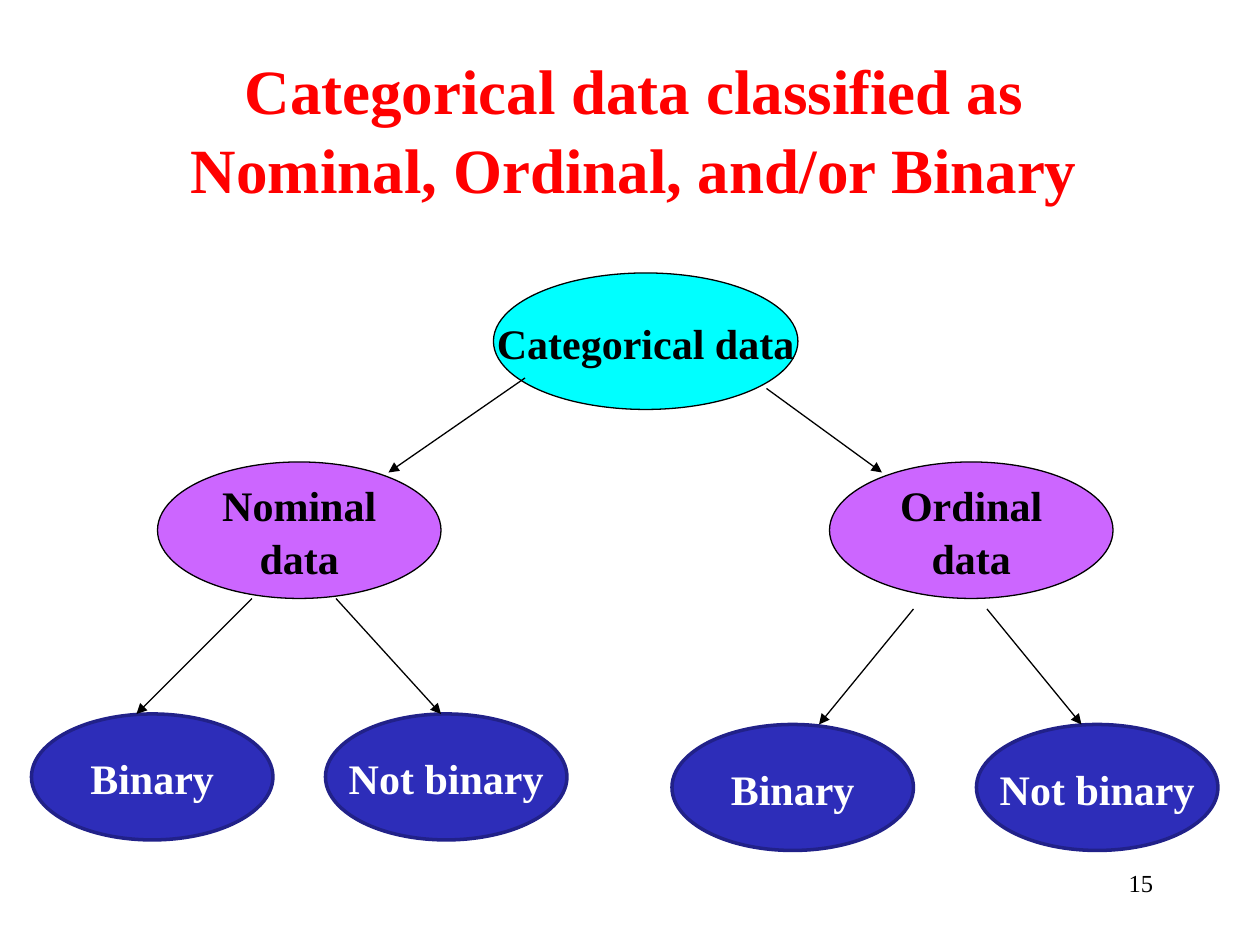
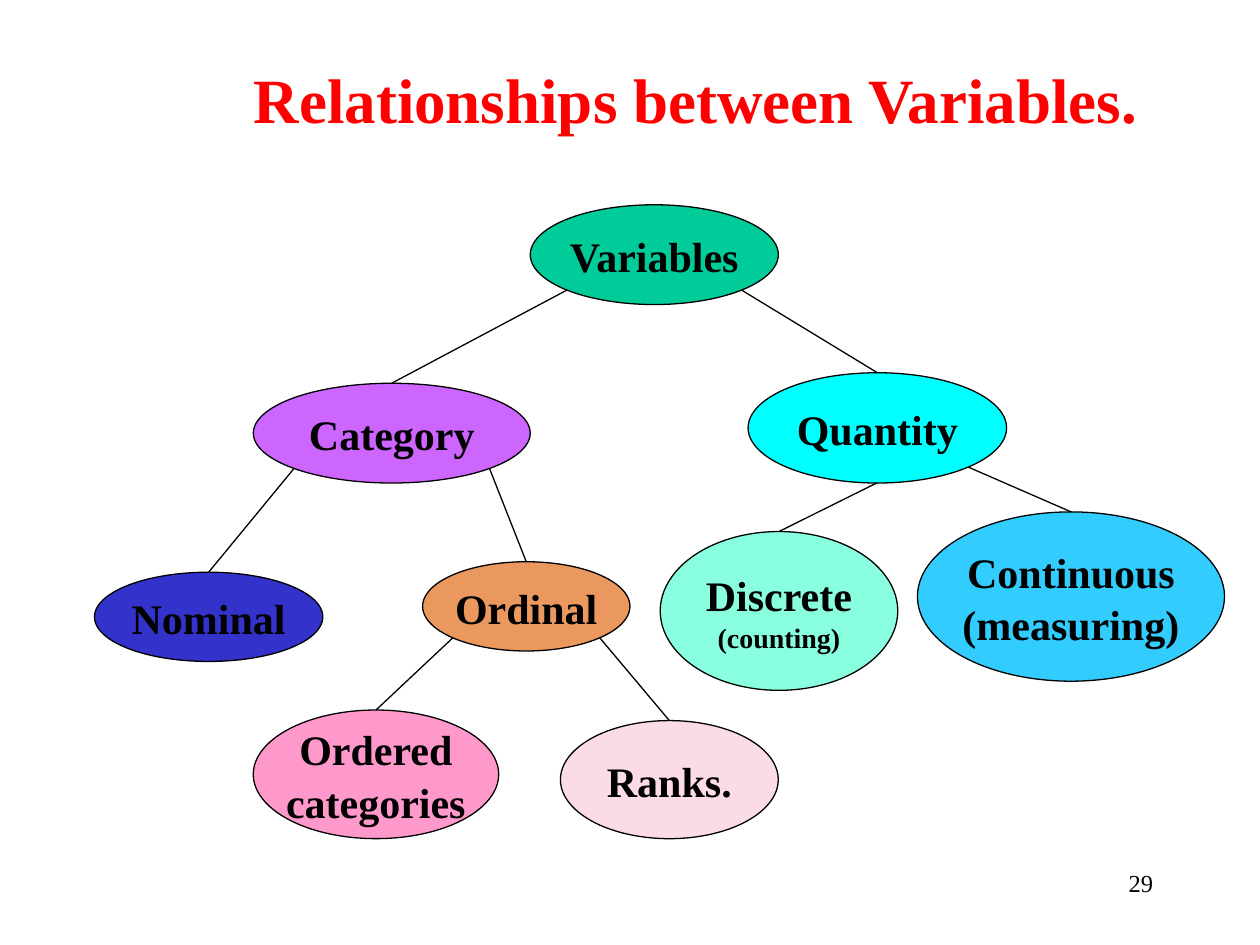
"""Build two tree diagrams that classify kinds of data and variables."""
import math
from dataclasses import dataclass
from typing import Any, NamedTuple, Optional

from lxml import etree
from pptx import Presentation
from pptx import util as u
from pptx.dml.color import RGBColor
from pptx.enum import shapes, text
from pptx.oxml import ns

EMU_PER_PX = 9525
TITLE_ONLY_LAYOUT = 5


@dataclass(frozen=True)
class Theme:
    """Colours, font and type sizes shared by the slides."""
    font: str = "Times New Roman"
    title_size: int = 36
    node_size: int = 24
    note_size: int = 16
    page_size: int = 14
    line_spacing: float = 1.04
    thin: float = 0.75
    thick: float = 2
    red: str = "FF0000"
    black: str = "000000"
    white: str = "FFFFFF"
    cyan: str = "00FFFF"
    purple: str = "CC66FF"
    navy: str = "2D2DB9"
    navy_edge: str = "212189"
    green: str = "00CC99"
    blue: str = "3333CC"
    orange: str = "EB985F"
    mint: str = "89FFE0"
    sky: str = "33CCFF"
    pink: str = "FF99CC"
    blush: str = "FBDBE6"


THEME = Theme()


class Box(NamedTuple):
    """A rectangle in px."""
    left: int
    top: int
    width: int
    height: int


class Point(NamedTuple):
    """A position in px."""
    x: int
    y: int


@dataclass(frozen=True)
class Node:
    """An ellipse of the tree, with an optional smaller note below its label."""
    label: str
    box: Box
    fill: str
    note: str = ""
    edge: str = THEME.black
    edge_width: float = THEME.thin
    color: str = THEME.black


class Arrow(NamedTuple):
    """A free arrow between two points."""
    start: Point
    end: Point


class Branch(NamedTuple):
    """A line from the lower rim of a parent to the top of a child."""
    parent: str
    degrees: int
    child: str


PAGE_BOX = Box(688, 656, 200, 48)
LOWER_LEFT, BOTTOM, LOWER_RIGHT = 135, 90, 45


def kind_node(name: str, left: int) -> Node:
    """Describe a second-level kind of categorical data."""
    return Node(f"{name}\ndata", Box(left, 352, 216, 104), THEME.purple)


def leaf_node(label: str, left: int, top: int) -> Node:
    """Describe a navy leaf of the categorical tree."""
    return Node(label, Box(left, top, 184, 96), THEME.navy,
                edge=THEME.navy_edge, edge_width=THEME.thick, color=THEME.white)


CATEGORICAL_NODES = [
    Node("Categorical data", Box(376, 208, 232, 104), THEME.cyan),
    kind_node("Nominal", 120),
    kind_node("Ordinal", 632),
    leaf_node("Binary", 24, 544),
    leaf_node("Not binary", 248, 544),
    leaf_node("Binary", 512, 552),
    leaf_node("Not binary", 744, 552),
]
CATEGORICAL_ARROWS = [
    Arrow(Point(400, 288), Point(296, 360)),
    Arrow(Point(584, 296), Point(672, 360)),
    Arrow(Point(192, 456), Point(104, 544)),
    Arrow(Point(256, 456), Point(336, 544)),
    Arrow(Point(696, 464), Point(624, 552)),
    Arrow(Point(752, 464), Point(824, 552)),
]
VARIABLE_NODES = [
    Node("Variables", Box(404, 156, 189, 76), THEME.green),
    Node("Category", Box(193, 292, 211, 76), THEME.purple),
    Node("Quantity", Box(570, 284, 197, 84), THEME.cyan),
    Node("Nominal", Box(72, 436, 174, 68), THEME.blue),
    Node("Ordinal", Box(322, 428, 158, 68), THEME.orange),
    Node("Discrete", Box(503, 405, 181, 121), THEME.mint, note="(counting)"),
    Node("Continuous\n(measuring)", Box(699, 390, 234, 129), THEME.sky),
    Node("Ordered\ncategories", Box(193, 541, 187, 98), THEME.pink),
    Node("Ranks.", Box(427, 549, 166, 90), THEME.blush),
]
VARIABLE_BRANCHES = [
    Branch("Variables", LOWER_LEFT, "Category"),
    Branch("Variables", LOWER_RIGHT, "Quantity"),
    Branch("Category", LOWER_LEFT, "Nominal"),
    Branch("Category", LOWER_RIGHT, "Ordinal"),
    Branch("Quantity", BOTTOM, "Discrete"),
    Branch("Quantity", LOWER_RIGHT, "Continuous\n(measuring)"),
    Branch("Ordinal", LOWER_LEFT, "Ordered\ncategories"),
    Branch("Ordinal", LOWER_RIGHT, "Ranks."),
]


def px(length: int) -> u.Emu:
    """Turn px into EMU."""
    return u.Emu(length * EMU_PER_PX)


def apply_format(target: Any, values: dict[str, Any]) -> None:
    """Set each named attribute on the target."""
    for name, value in values.items():
        setattr(target, name, value)


def format_paragraph(paragraph: Any, size: int, color: str, bold: bool = True,
                     alignment: Any = text.PP_ALIGN.CENTER) -> None:
    """Style a paragraph and all its runs."""
    apply_format(paragraph, {"alignment": alignment,
                             "line_spacing": THEME.line_spacing})
    for run in paragraph.runs:
        apply_format(run.font, {"name": THEME.font, "size": u.Pt(size), "bold": bold})
        run.font.color.rgb = RGBColor.from_string(color)


def format_line(line: Any, color: str, width: float) -> None:
    """Give a line its colour and width."""
    line.color.rgb = RGBColor.from_string(color)
    line.width = u.Pt(width)


def add_titled_slide(presentation: Any, title: str, box: Box, page: int) -> Any:
    """Add a slide with its title and page number."""
    slide = presentation.slides.add_slide(presentation.slide_layouts[TITLE_ONLY_LAYOUT])
    shape = slide.shapes.title
    apply_format(shape, {name: px(value) for name, value in box._asdict().items()})
    shape.text_frame.text = title
    apply_format(shape.text_frame, {"auto_size": text.MSO_AUTO_SIZE.NONE, "word_wrap": True,
                                    "vertical_anchor": text.MSO_ANCHOR.MIDDLE})
    format_paragraph(shape.text_frame.paragraphs[0], THEME.title_size, THEME.red)
    number = slide.shapes.add_textbox(*map(px, PAGE_BOX)).text_frame
    number.text = str(page)
    number.word_wrap = True
    format_paragraph(number.paragraphs[0], THEME.page_size, THEME.black,
                     bold=False, alignment=text.PP_ALIGN.RIGHT)
    return slide


def draw_node(slide: Any, node: Node) -> Any:
    """Draw an ellipse with its label and note."""
    shape = slide.shapes.add_shape(shapes.MSO_SHAPE.OVAL, *map(px, node.box))
    shape.shadow.inherit = False
    shape.fill.solid()
    shape.fill.fore_color.rgb = RGBColor.from_string(node.fill)
    format_line(shape.line, node.edge, node.edge_width)
    frame = shape.text_frame
    apply_format(frame, {"word_wrap": False, "vertical_anchor": text.MSO_ANCHOR.MIDDLE})
    frame.text = node.label
    for paragraph in frame.paragraphs:
        format_paragraph(paragraph, THEME.node_size, node.color)
    if node.note:
        paragraph = frame.add_paragraph()
        paragraph.text = node.note
        format_paragraph(paragraph, THEME.note_size, node.color)
    return shape


def draw_line(slide: Any, start: Point, end: Point, head: Optional[str] = None) -> Any:
    """Draw a thin straight connector, with an arrowhead if one is named."""
    connector = slide.shapes.add_connector(shapes.MSO_CONNECTOR.STRAIGHT,
                                           *map(px, (*start, *end)))
    format_line(connector.line, THEME.black, THEME.thin)
    if head:
        etree.SubElement(connector.line._get_or_add_ln(), ns.qn("a:tailEnd"), type=head)
    etree.SubElement(connector._element.spPr, ns.qn("a:effectLst"))
    return connector


def rim_point(box: Box, degrees: int) -> Point:
    """Find the point of an ellipse at an angle, clockwise from the right."""
    angle = math.radians(degrees)
    return Point(round(box.left + box.width / 2 * (1 + math.cos(angle))),
                 round(box.top + box.height / 2 * (1 + math.sin(angle))))


def build_categorical(presentation: Any) -> None:
    """Build the tree of categorical data."""
    slide = add_titled_slide(
        presentation, "Categorical data classified as\vNominal, Ordinal, and/or Binary",
        Box(75, 37, 816, 120), 15)
    for node in CATEGORICAL_NODES:
        draw_node(slide, node)
    for arrow in CATEGORICAL_ARROWS:
        draw_line(slide, arrow.start, arrow.end, head="triangle")


def build_variables(presentation: Any) -> None:
    """Build the tree of variables."""
    slide = add_titled_slide(presentation, "Relationships between Variables.",
                             Box(121, 22, 818, 103), 29)
    boxes = {node.label: node.box for node in VARIABLE_NODES}
    ovals = {node.label: draw_node(slide, node) for node in VARIABLE_NODES}
    for branch in VARIABLE_BRANCHES:
        start = rim_point(boxes[branch.parent], branch.degrees)
        end = rim_point(boxes[branch.child], -90)
        draw_line(slide, start, end).end_connect(ovals[branch.child], 0)


def main() -> None:
    """Build and save the presentation."""
    presentation = Presentation()
    apply_format(presentation, {"slide_width": px(960), "slide_height": px(720)})
    build_categorical(presentation)
    build_variables(presentation)
    presentation.save("out.pptx")


if __name__ == "__main__":
    main()
